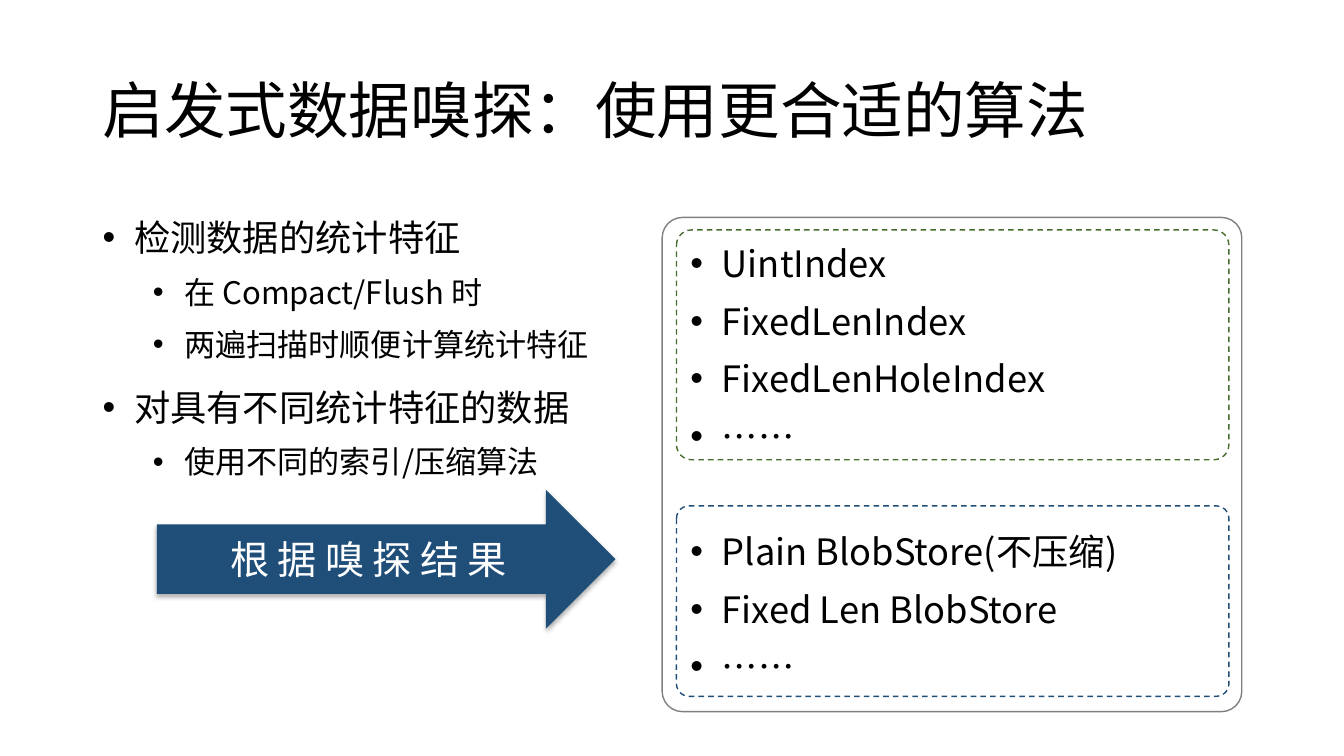
from dataclasses import dataclass
from typing import Optional

from lxml.etree import SubElement
from pptx import Presentation
from pptx.dml.color import RGBColor
from pptx.enum.dml import MSO_LINE
from pptx.enum.shapes import MSO_SHAPE as Preset
from pptx.enum.text import MSO_ANCHOR as Anchor, PP_ALIGN as Align
from pptx.oxml.ns import qn
from pptx.util import Pt

FONT = "Noto Sans CJK SC"
BLACK, WHITE, NAVY, GREEN, GRAY = "000000", "FFFFFF", "1F4E79", "476D2D", "808080"


@dataclass
class Line:
    text: str
    size: float = 25.9
    color: str = BLACK
    bullet: bool = True
    indent: float = 22.5
    spacing: float = 1.0
    before: float = 10
    tracking: int = 0
    align: Align = Align.LEFT


@dataclass
class TextArea:
    left: float
    top: float
    width: float
    height: float
    lines: list[Line]
    anchor: Anchor = Anchor.TOP


@dataclass
class Frame:
    left: float
    top: float
    width: float
    height: float
    corner: float
    color: str
    dash: Optional[MSO_LINE] = None


def rgb(color: str) -> RGBColor:
    return RGBColor.from_string(color)


def main_line(text: str) -> Line:
    return Line(text, spacing=1.2)


def sub_line(text: str) -> Line:
    return Line(text, size=22.2, indent=58.5, spacing=1.2, before=5)


def add_bullet(para, indent: float) -> None:
    properties = para._p.get_or_add_pPr()
    properties.set("marL", str(Pt(indent)))
    properties.set("indent", str(Pt(-22.5)))
    SubElement(properties, qn("a:buFont"), typeface="Arial")
    SubElement(properties, qn("a:buChar"), char="•")


def write_lines(text_frame, lines: list[Line], anchor: Anchor) -> None:
    text_frame.word_wrap = True
    text_frame.vertical_anchor = anchor
    for number, line in enumerate(lines):
        para = text_frame.add_paragraph() if number else text_frame.paragraphs[0]
        if line.bullet:
            add_bullet(para, line.indent)
        layout = {"alignment": line.align, "line_spacing": line.spacing,
                  "space_before": Pt(line.before if number else 0)}
        for name, value in layout.items():
            setattr(para, name, value)
        span = para.add_run()
        span.text = line.text
        for name, value in {"name": FONT, "size": Pt(line.size)}.items():
            setattr(span.font, name, value)
        span.font.color.rgb = rgb(line.color)
        properties = span._r.get_or_add_rPr()
        SubElement(properties, qn("a:ea"), typeface=FONT)
        if line.tracking:
            properties.set("spc", str(line.tracking * 100))


def add_text(page, area: TextArea) -> None:
    box = page.shapes.add_textbox(Pt(area.left), Pt(area.top), Pt(area.width), Pt(area.height))
    write_lines(box.text_frame, area.lines, area.anchor)


def add_frame(page, frame: Frame) -> None:
    shape = page.shapes.add_shape(Preset.ROUNDED_RECTANGLE, Pt(frame.left), Pt(frame.top),
                                  Pt(frame.width), Pt(frame.height))
    shape.adjustments[0] = frame.corner
    shape.shadow.inherit = False
    shape.fill.background()
    shape.line.color.rgb = rgb(frame.color)
    shape.line.width = Pt(1)
    if frame.dash is not None:
        shape.line.dash_style = frame.dash


def add_result_arrow(page) -> None:
    arrow = page.shapes.add_shape(Preset.RIGHT_ARROW, Pt(112), Pt(349.7), Pt(327.6), Pt(99.4))
    arrow.fill.solid()
    arrow.fill.fore_color.rgb = rgb(NAVY)
    arrow.line.fill.background()
    arrow.shadow.inherit = False
    effects = arrow._element.spPr.find(qn("a:effectLst"))
    shadow = SubElement(effects, qn("a:outerShdw"), blurRad=str(Pt(3.5)), dist=str(Pt(2.2)),
                        dir="5400000", algn="t", rotWithShape="0")
    tint = SubElement(shadow, qn("a:srgbClr"), val=BLACK)
    SubElement(tint, qn("a:alpha"), val="32000")
    label = Line("根据嗅探结果", size=28, color=WHITE, bullet=False, tracking=6, align=Align.CENTER)
    write_lines(arrow.text_frame, [label], Anchor.MIDDLE)


TEXT_AREAS = [
    TextArea(66.2, 29, 828, 104,
             [Line("启发式数据嗅探：使用更合适的算法", size=44, bullet=False, spacing=0.9)],
             Anchor.MIDDLE),
    TextArea(66.2, 144, 408, 343, [
        main_line("检测数据的统计特征"),
        sub_line("在 Compact/Flush 时"),
        sub_line("两遍扫描时顺便计算统计特征"),
        main_line("对具有不同统计特征的数据"),
        sub_line("使用不同的索引/压缩算法"),
    ]),
    TextArea(486, 169, 408, 160, [
        Line(text) for text in ("UintIndex", "FixedLenIndex", "FixedLenHoleIndex", "……")
    ]),
    TextArea(486, 374.5, 408, 125, [
        Line(text) for text in ("Plain BlobStore(不压缩)", "Fixed Len BlobStore", "……")
    ]),
]

FRAMES = [
    Frame(473, 155.3, 414, 353, 0.041, GRAY),
    Frame(483.2, 164.2, 394.6, 164.2, 0.066, GREEN, MSO_LINE.DASH),
    Frame(483.2, 361.4, 394.6, 136, 0.066, NAVY, MSO_LINE.DASH),
]


def main() -> None:
    deck = Presentation()
    deck.slide_width, deck.slide_height = Pt(960), Pt(540)
    page = deck.slides.add_slide(deck.slide_layouts[6])
    for area in TEXT_AREAS:
        add_text(page, area)
    add_result_arrow(page)
    for frame in FRAMES:
        add_frame(page, frame)
    deck.save("out.pptx")


if __name__ == "__main__":
    main()
